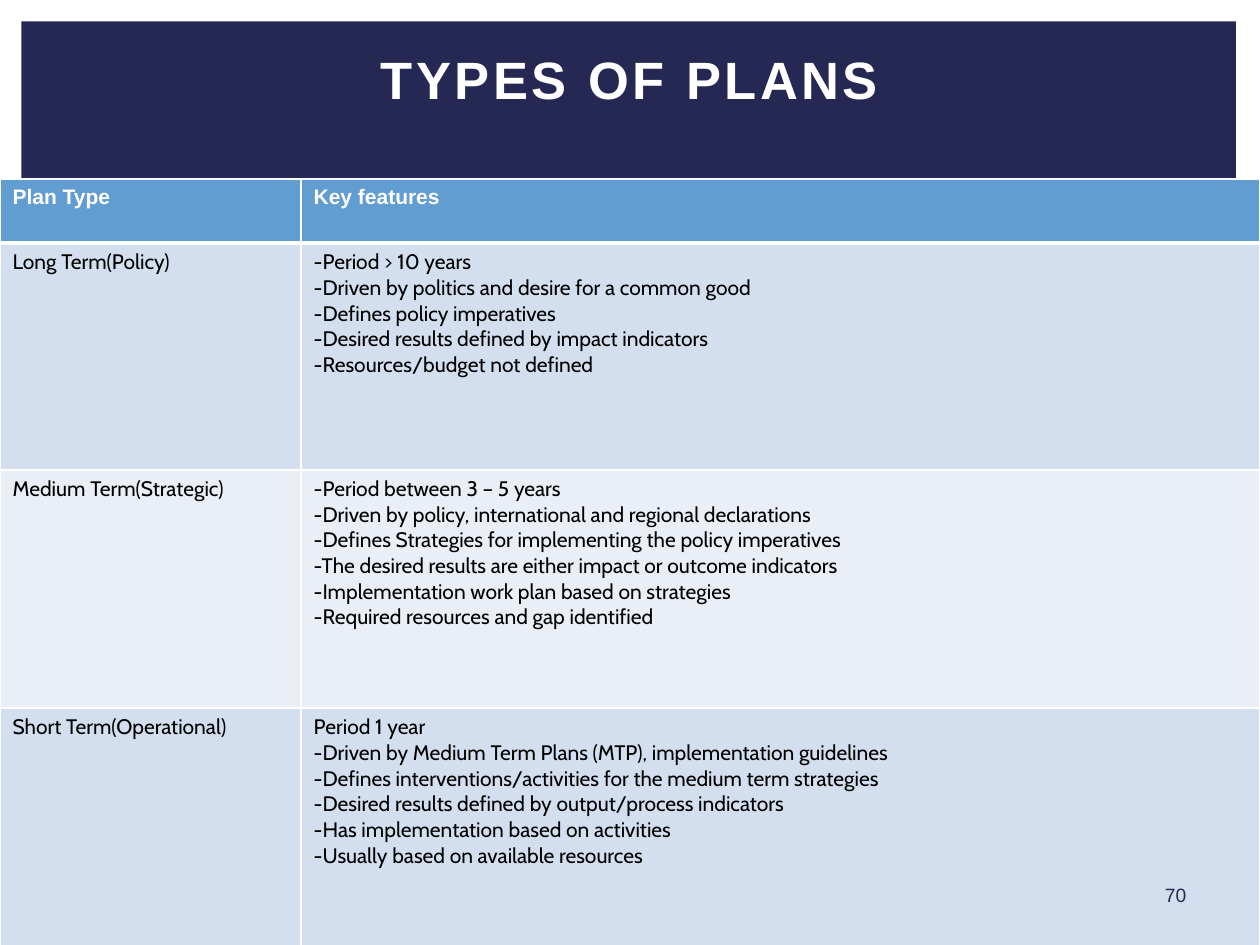
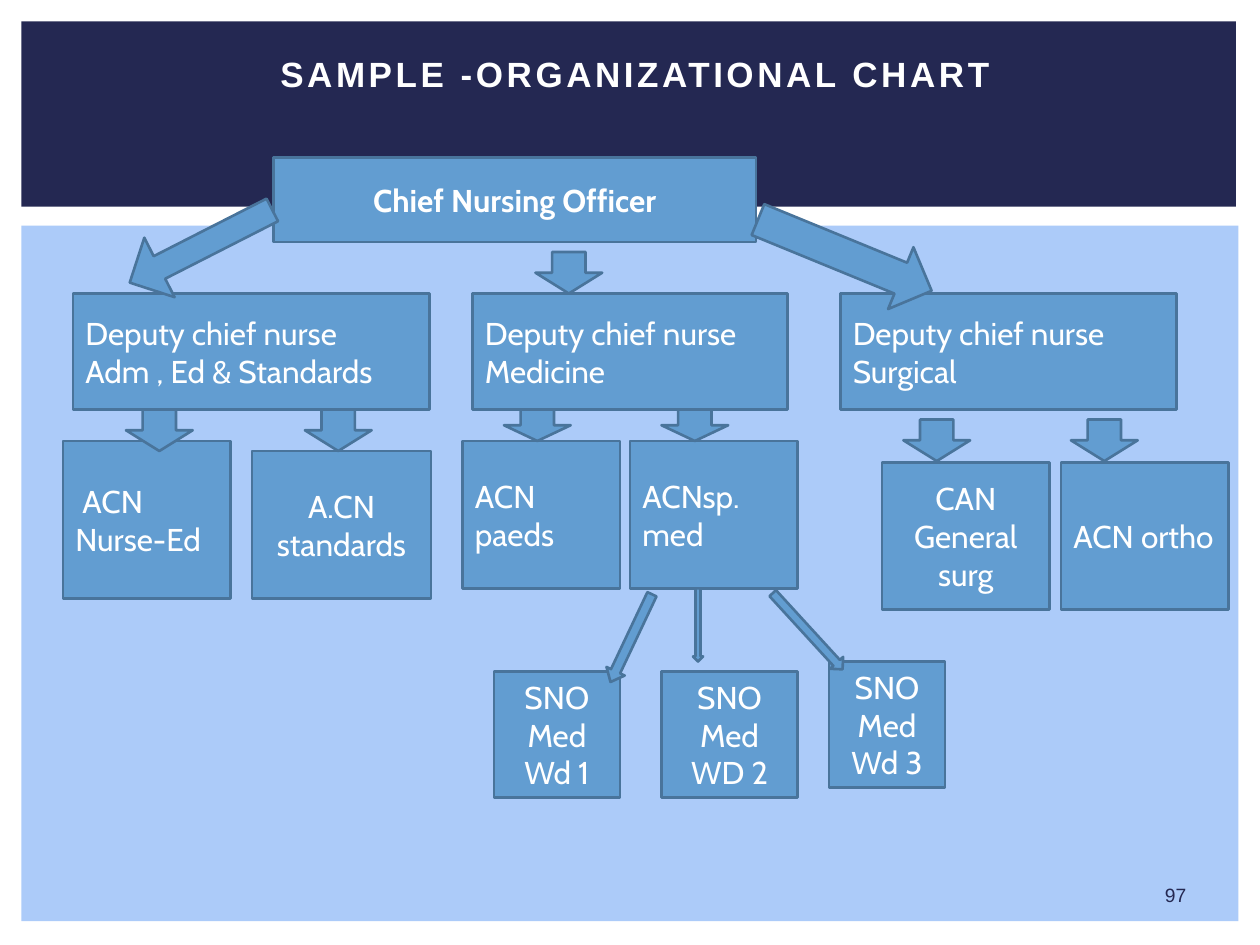
from lxml.etree import SubElement
from pptx import Presentation
from pptx.dml.color import RGBColor
from pptx.enum.shapes import MSO_SHAPE as Shape
from pptx.enum.text import MSO_ANCHOR as Anchor, PP_ALIGN as Align
from pptx.oxml.ns import qn
from pptx.util import Inches, Pt

# Shared look
COLORS = {
    "navy": "242852", "panel": "ACCBF9", "blue": "629DD1", "outline": "49749B",
    "white": "FFFFFF", "black": "000000", "row_dark": "D3DFEE", "row_light": "EAEFF7",
}
HEAD_FONT, BODY_FONT = "Arial", "Cabin"

# Plans table: header, then plan type with its key features
PLANS_HEADER = ("Plan Type", ["Key features"])
PLANS = [
    ("Long Term(Policy)", [
        "-Period > 10 years",
        "-Driven by politics and desire for a common good",
        "-Defines policy imperatives",
        "-Desired results defined by impact indicators",
        "-Resources/budget not defined",
    ]),
    ("Medium Term(Strategic)", [
        "-Period between 3 – 5 years",
        "-Driven by policy, international and regional declarations",
        "-Defines Strategies for implementing the policy imperatives",
        "-The desired results are either impact or outcome indicators",
        "-Implementation work plan based on strategies",
        "-Required resources and gap identified",
    ]),
    ("Short Term(Operational)", [
        "Period 1 year",
        "-Driven by Medium Term Plans (MTP), implementation guidelines",
        "-Defines interventions/activities for the medium term strategies",
        "-Desired results defined by output/process indicators",
        "-Has implementation based on activities",
        "-Usually based on available resources",
    ]),
]
COLUMN_WIDTHS = (2.39, 7.61)
ROW_HEIGHTS = (0.51, 1.8, 1.89, 1.89)

# Organization chart: lines, (left, top, width, height), alignment
CHIEF = ("Chief Nursing Officer", (2.17, 1.25, 3.83, 0.67))
POSTS = [
    (["Deputy chief nurse", "Adm , Ed & Standards"], (0.58, 2.33, 2.83, 0.92), Align.LEFT),
    (["Deputy chief nurse", "Medicine"], (3.75, 2.33, 2.5, 0.92), Align.LEFT),
    (["Deputy chief nurse", "Surgical"], (6.67, 2.33, 2.67, 0.92), Align.LEFT),
    ([" ACN Nurse-Ed"], (0.5, 3.5, 1.33, 1.25), Align.LEFT),
    (["A.CN", "standards"], (2, 3.58, 1.42, 1.17), Align.CENTER),
    (["ACN", "paeds"], (3.67, 3.5, 1.25, 1.17), Align.LEFT),
    (["ACNsp.", "med"], (5, 3.5, 1.33, 1.17), Align.LEFT),
    (["CAN", "General surg"], (7, 3.67, 1.33, 1.17), Align.CENTER),
    (["ACN ortho"], (8.42, 3.67, 1.33, 1.17), Align.LEFT),
]
WARDS = [
    (["SNO", "Med Wd 1"], (3.92, 5.33, 1, 1), Align.CENTER),
    (["SNO", "Med WD 2"], (5.25, 5.33, 1.08, 1), Align.CENTER),
    (["SNO", "Med Wd 3"], (6.58, 5.25, 0.92, 1), Align.CENTER),
]

# Straight arrows share one width: left, top, height
ARROW_WIDTH = 0.53
DOWN_ARROWS = [
    (4.25, 2, 0.33),
    (1, 3.25, 0.33), (2.42, 3.25, 0.33),
    (4, 3.25, 0.25), (5.25, 3.25, 0.25),
    (7.17, 3.33, 0.33), (8.5, 3.33, 0.33),
]
# Other arrows: (left, top, width, height), rotation, shaft, head
DEPUTY_ARROWS = [
    ((1.33, 1.32, ARROW_WIDTH, 1.27), 63, 0.38, 0.5),
    ((6.44, 1.28, ARROW_WIDTH, 1.49), 292.3, 0.5, 0.5),
]
WARD_ARROWS = [
    ((4.93, 4.68, 0.16, 0.77), 25.3, 0.5, 0.59),
    ((5.5, 4.67, 0.08, 0.58), 0, 0.5, 0.5),
    ((6.34, 4.6, 0.14, 0.82), 317.5, 0.5, 0.5),
]


def rgb(name):
    return RGBColor.from_string(COLORS[name])


def write(frame, lines, size, font, color, align=Align.LEFT, bold=False):
    frame.word_wrap = True
    for i, line in enumerate(lines):
        paragraph = frame.paragraphs[0] if i == 0 else frame.add_paragraph()
        paragraph.text = line
        paragraph.alignment = align
        paragraph.font.size = Pt(size)
        paragraph.font.name = font
        paragraph.font.bold = bold
        paragraph.font.color.rgb = rgb(color)


def add_block(slide, kind, box, fill, outline=None):
    block = slide.shapes.add_shape(kind, *map(Inches, box))
    block.shadow.inherit = False
    block.fill.solid()
    block.fill.fore_color.rgb = rgb(fill)
    if outline:
        block.line.color.rgb = rgb(outline)
        block.line.width = Pt(1.5)
    else:
        block.line.fill.background()
    return block


def add_label(slide, text, box, size, color, bold=False):
    label = slide.shapes.add_textbox(*map(Inches, box)).text_frame
    label.vertical_anchor = Anchor.MIDDLE
    write(label, [text], size, HEAD_FONT, color, Align.CENTER, bold)
    return label


def start_slide(deck, title, title_box, title_size):
    slide = deck.slides.add_slide(deck.slide_layouts[6])
    add_block(slide, Shape.RECTANGLE, (0.17, 1.79, 9.66, 5.52), "panel")
    add_block(slide, Shape.RECTANGLE, (0.17, 0.17, 9.64, 1.47), "navy")
    heading = add_label(slide, title, title_box, title_size, "white", bold=True)
    heading.paragraphs[0].runs[0]._r.get_or_add_rPr().set("spc", "200")
    return slide


def add_number(slide, number):
    add_label(slide, str(number), (9.01, 6.95, 0.64, 0.3), 11, "navy")


def style_cell(cell, fill, bottom):
    properties = cell._tc.get_or_add_tcPr()
    for side, points in (("L", 1), ("R", 1), ("T", 1), ("B", bottom)):
        border = SubElement(properties, qn(f"a:ln{side}"), w=str(Pt(points)))
        solid = SubElement(border, qn("a:solidFill"))
        SubElement(solid, qn("a:srgbClr"), val=COLORS["white"])
    cell.fill.solid()
    cell.fill.fore_color.rgb = rgb(fill)


def add_plans(slide):
    rows = [PLANS_HEADER] + PLANS
    box = (0, 1.42, sum(COLUMN_WIDTHS), sum(ROW_HEIGHTS))
    plans = slide.shapes.add_table(len(rows), 2, *map(Inches, box)).table
    plans.first_row = plans.horz_banding = False
    for column, width in zip(plans.columns, COLUMN_WIDTHS):
        column.width = Inches(width)
    for r, (plan_type, features) in enumerate(rows):
        plans.rows[r].height = Inches(ROW_HEIGHTS[r])
        header = r == 0
        fill = "blue" if header else ("row_light", "row_dark")[r % 2]
        font, color = (HEAD_FONT, "white") if header else (BODY_FONT, "black")
        for c, lines in enumerate(([plan_type], features)):
            cell = plans.cell(r, c)
            style_cell(cell, fill, 3 if header else 1)
            write(cell.text_frame, lines, 12, font, color, bold=header)


def add_post(slide, lines, box, align=Align.CENTER, bold=False):
    post = add_block(slide, Shape.RECTANGLE, box, "blue", "outline")
    post.text_frame.vertical_anchor = Anchor.MIDDLE
    write(post.text_frame, lines, 18, BODY_FONT, "white", align, bold)


def add_arrow(slide, box, rotation=0, shaft=0.5, head=0.5):
    arrow = add_block(slide, Shape.DOWN_ARROW, box, "blue", "outline")
    arrow.rotation = rotation
    arrow.adjustments[0] = shaft
    arrow.adjustments[1] = head


def main():
    deck = Presentation()
    deck.slide_width, deck.slide_height = Inches(10), Inches(7.5)

    # Types of plans
    plans = start_slide(deck, "TYPES OF PLANS", (0.75, 0, 8.5, 1.25), 30)
    add_plans(plans)
    add_number(plans, 70)

    # Organizational chart
    chart = start_slide(deck, "SAMPLE -ORGANIZATIONAL CHART", (0.25, 0.17, 9.58, 0.83), 20)
    chief, chief_box = CHIEF
    add_post(chart, [chief], chief_box, bold=True)
    for post in POSTS:
        add_post(chart, *post)
    for left, top, height in DOWN_ARROWS:
        add_arrow(chart, (left, top, ARROW_WIDTH, height))
    for arrow in DEPUTY_ARROWS:
        add_arrow(chart, *arrow)
    for ward in WARDS:
        add_post(chart, *ward)
    for arrow in WARD_ARROWS:
        add_arrow(chart, *arrow)
    add_number(chart, 97)

    deck.save("out.pptx")


if __name__ == "__main__":
    main()
